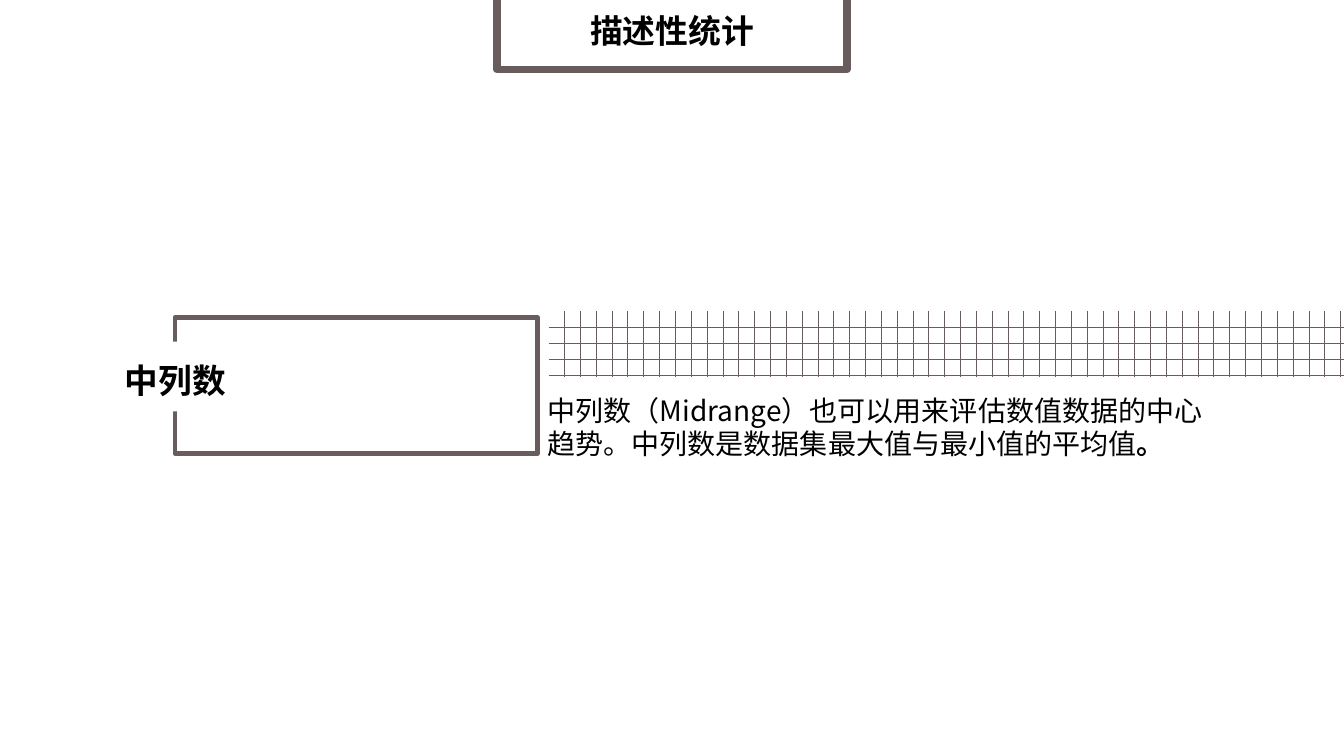
from lxml import etree
from pptx import Presentation, util as u
from pptx.dml.color import RGBColor
from pptx.enum import dml, shapes, text
from pptx.oxml.ns import qn

WIDTH, HEIGHT = 13.33, 7.5


def colour(hex_code):
    return RGBColor.from_string(hex_code)


class StatisticsSlide:
    font = "Noto Sans CJK SC"
    accent, paper, ink = "685D5C", "FFFFFF", "000000"

    def __init__(self, deck):
        self.slide = deck.slides.add_slide(deck.slide_layouts[6])

    def area(self, left, top, width, height):
        """Turn shares of the slide's width and height into lengths."""
        return [u.Inches(share * side) for share, side in
                zip((left, top, width, height), (WIDTH, HEIGHT) * 2)]

    def box(self, area, fill=None, border=None):
        box = self.slide.shapes.add_shape(
            shapes.MSO_SHAPE.RECTANGLE, *self.area(*area))
        box.shadow.inherit = False
        if fill:
            box.fill.solid()
            box.fill.fore_color.rgb = colour(fill)
        else:
            box.fill.background()
        if border:
            box.line.color.rgb = colour(self.accent)
            box.line.width = u.Pt(border)
        else:
            box.line.fill.background()
        return box

    def grid_band(self, area):
        fill = self.box(area).fill
        fill.patterned()
        fill.pattern = dml.MSO_PATTERN.DOTTED_GRID
        fill.fore_color.rgb = colour(self.accent)
        fill.back_color.rgb = colour(self.paper)

    def textbox(self, area):
        return self.slide.shapes.add_textbox(*self.area(*area))

    def set_text(self, holder, words, size, bold=False, align="LEFT",
                 anchor="MIDDLE", spacing=1.0):
        frame = holder.text_frame
        frame.word_wrap = True
        frame.vertical_anchor = text.MSO_ANCHOR[anchor]
        paragraph = frame.paragraphs[0]
        paragraph.add_run().text = words
        paragraph.alignment = text.PP_ALIGN[align]
        paragraph.line_spacing = spacing
        font = paragraph.font
        font.name, font.size, font.bold = self.font, u.Pt(size), bold
        font.color.rgb = colour(self.ink)
        defaults = paragraph._p.pPr.find(qn("a:defRPr"))
        etree.SubElement(defaults, qn("a:ea"), typeface=self.font)
        return paragraph


def main():
    deck = Presentation()
    deck.slide_width, deck.slide_height = u.Inches(WIDTH), u.Inches(HEIGHT)
    page = StatisticsSlide(deck)

    page.box((0.13, 0.42, 0.27, 0.18), border=3)
    term = page.box((0.0855, 0.452, 0.2228, 0.092), fill=page.paper)
    page.set_text(term, "中列数", 24, bold=True, spacing=1.2)

    page.grid_band((0.4081, 0.412, 0.5919, 0.0867))
    definition = page.set_text(
        page.textbox((0.4, 0.5133, 0.5026, 0.1547)),
        "中列数（Midrange）也可以用来评估数值数据的中心趋势。"
        "中列数是数据集最大值与最小值的平均值", 20, anchor="TOP")
    full_stop = definition.add_run()
    full_stop.text = "。"
    full_stop.font.bold = True

    page.box((0.3698, -0.092, 0.2603, 0.184), fill=page.paper, border=5.5)
    title = page.textbox((0.3698, -0.0053, 0.2603, 0.1547))
    page.set_text(title, "描述性统计", 23.4, bold=True, align="CENTER", spacing=0.9)
    title.text_frame.margin_bottom = u.Inches(0.47)

    deck.save("out.pptx")


if __name__ == "__main__":
    main()
